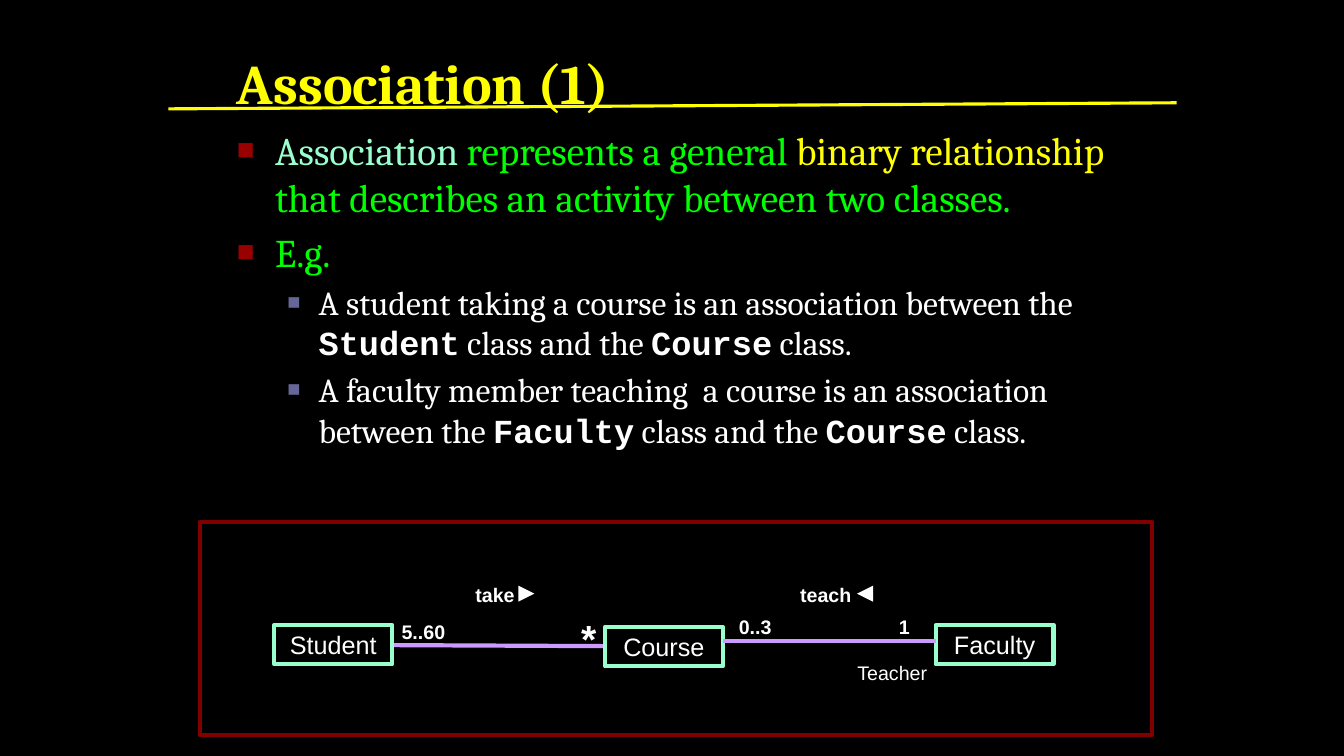
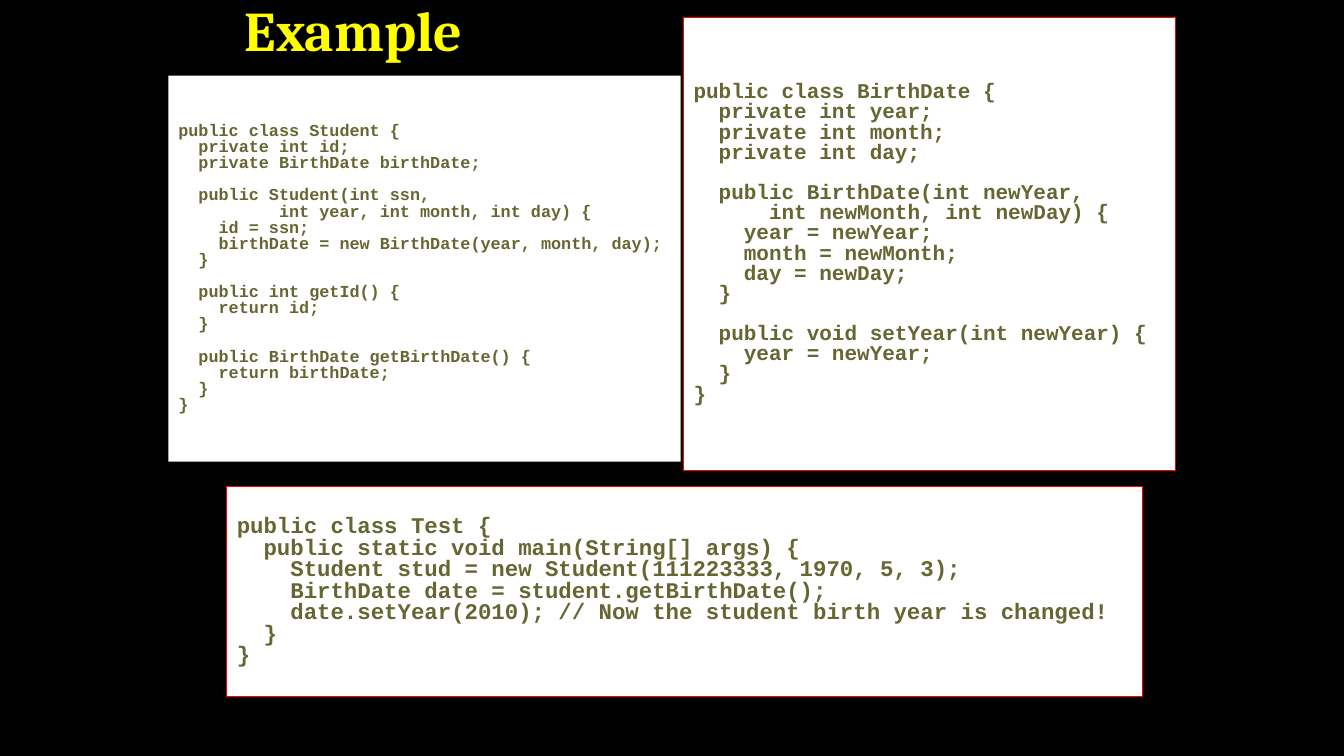
from lxml import etree
from pptx import Presentation
from pptx.dml.color import RGBColor
from pptx.enum.shapes import MSO_CONNECTOR, MSO_SHAPE
from pptx.enum.text import MSO_ANCHOR, MSO_AUTO_SIZE, PP_ALIGN
from pptx.oxml.ns import qn
from pptx.util import Inches, Pt

RECT, ARROW = MSO_SHAPE.RECTANGLE, MSO_SHAPE.ISOSCELES_TRIANGLE
LINE = MSO_CONNECTOR.STRAIGHT
LEFT, CENTER = PP_ALIGN.LEFT, PP_ALIGN.CENTER
MIDDLE, BOTTOM = MSO_ANCHOR.MIDDLE, MSO_ANCHOR.BOTTOM
SERIF, SANS, MONO = "Cambria", "Arial", "Courier New"
HEX = {
    "black": "000000", "white": "FFFFFF", "yellow": "FFFF00",
    "green": "00FF00", "mint": "99FFCC", "violet": "CC99FF",
    "maroon": "800000", "red": "FF0000", "olive": "666633",
    "brick": "990000", "slate": "666699",
}
COLOR = {name: RGBColor.from_string(code) for name, code in HEX.items()}


def style(run, size, font, color, bold=False):
    run.font.size = Pt(size)
    run.font.name = font
    run.font.bold = bold
    run.font.color.rgb = COLOR[color]


def panel(slide, kind, spot, fill, edge=None, width=3):
    shape = slide.shapes.add_shape(kind, *map(Inches, spot))
    shape.shadow.inherit = False
    shape.fill.solid()
    shape.fill.fore_color.rgb = COLOR[fill]
    if edge:
        shape.line.color.rgb = COLOR[edge]
        shape.line.width = Pt(width)
    else:
        shape.line.fill.background()
    return shape


prs = Presentation()
prs.slide_width, prs.slide_height = Inches(13.33), Inches(7.5)
back = prs.slide_master.background.fill
back.solid()
back.fore_color.rgb = COLOR["black"]

heads = [
    (1, "Association (1)", (2.25, 0.52, 8.92, 0.67)),
    (5, "Example", (2.33, 0.17, 3.75, 0.5)),
]
slides = []
for layout, text, spot in heads:
    slide = prs.slides.add_slide(prs.slide_layouts[layout])
    slides.append(slide)
    title = slide.shapes.title
    title.left, title.top, title.width, title.height = map(Inches, spot)
    frame = title.text_frame
    frame.text = text
    frame.auto_size = MSO_AUTO_SIZE.NONE
    frame.vertical_anchor = BOTTOM
    para = frame.paragraphs[0]
    para.alignment = LEFT
    para.line_spacing = 0.8
    style(para.runs[0], 40, SERIF, "yellow", True)
first, second = slides

levels = [(28, 0.38, -0.38, "brick", 75), (24, 0.81, -0.31, "slate", 65)]
points = [
    (0, [("Association", "mint"), (" represents a general ", "green"),
         ("binary relationship", "yellow"),
         (" that describes an activity between two classes.", "green")]),
    (0, [("E.g.", "green")]),
    (1, [("A student taking a course is an association between the ", "white"),
         ("Student", "code"), (" class and the ", "white"),
         ("Course", "code"), (" class.", "white")]),
    (1, [("A faculty member teaching  a course is an association between the ", "white"),
         ("Faculty", "code"), (" class and the ", "white"),
         ("Course", "code"), (" class.", "white")]),
]
body = first.placeholders[1]
body.left, body.top, body.width, body.height = map(Inches, (2.25, 1.2, 8.92, 4.93))
frame = body.text_frame
frame.auto_size = MSO_AUTO_SIZE.NONE
for row, (level, parts) in enumerate(points):
    para = frame.add_paragraph() if row else frame.paragraphs[0]
    para.level = level
    size, margin, indent, tint, scale = levels[level]
    props = para._p.get_or_add_pPr()
    props.set("marL", str(Inches(margin)))
    props.set("indent", str(Inches(indent)))
    paint = etree.SubElement(props, qn("a:buClr"))
    etree.SubElement(paint, qn("a:srgbClr"), val=HEX[tint])
    etree.SubElement(props, qn("a:buSzPct"), val=str(scale * 1000))
    etree.SubElement(props, qn("a:buFont"), typeface=SANS)
    etree.SubElement(props, qn("a:buChar"), char="■")
    for text, look in parts:
        run = para.add_run()
        run.text = text
        code = look == "code"
        style(run, size, MONO if code else SERIF, "white" if code else look, code)

panel(first, RECT, (1.98, 5.18, 9.45, 2.11), "black", "maroon")
boxes = [("Student", 2.72, 6.2), ("Course", 6, 6.22), ("Faculty", 9.28, 6.2)]
for name, left, top in boxes:
    box = panel(first, RECT, (left, top, 1.17, 0.39), "black", "mint")
    frame = box.text_frame
    frame.text = name
    frame.vertical_anchor = MIDDLE
    frame.word_wrap = False
    frame.paragraphs[0].alignment = CENTER
    style(frame.paragraphs[0].runs[0], 18, SANS, "white")

lines = [
    ((3.91, 6.4, 5.98, 6.41), "violet", 3),
    ((7.17, 6.36, 9.28, 6.36), "violet", 3),
    ((1.67, 1.08, 11.67, 1.02), "yellow", 2.25),
]
for ends, color, width in lines:
    line = first.shapes.add_connector(LINE, *map(Inches, ends))
    line.line.color.rgb = COLOR[color]
    line.line.width = Pt(width)
    etree.SubElement(line._element.spPr, qn("a:effectLst"))

labels = [
    ("5..60", (3.81, 6.1, 0.78, 0.33), 14, True),
    ("*", (5.45, 6.05, 0.78, 0.57), 28, True),
    ("1", (8.58, 6.05, 0.78, 0.33), 14, True),
    ("0..3", (7.1, 6.05, 0.78, 0.33), 14, True),
    ("take", (4.52, 5.73, 0.78, 0.33), 14, True),
    ("teach", (7.72, 5.73, 0.94, 0.33), 14, True),
    ("Teacher", (8.03, 6.51, 1.64, 0.33), 14, False),
]
for text, spot, size, bold in labels:
    frame = first.shapes.add_textbox(*map(Inches, spot)).text_frame
    frame.word_wrap = True
    frame.text = text
    frame.paragraphs[0].alignment = CENTER
    style(frame.paragraphs[0].runs[0], size, SANS, "white", bold)

for left, turn in [(5.14, 90), (8.5, 270)]:
    panel(first, ARROW, (left, 5.81, 0.16, 0.16), "white").rotation = turn

student = """public class Student {
  private int id;
  private BirthDate birthDate;

  public Student(int ssn,
          int year, int month, int day) {
    id = ssn;
    birthDate = new BirthDate(year, month, day);
  }

  public int getId() {
    return id;
  }

  public BirthDate getBirthDate() {
    return birthDate;
  }
}"""
birth = """public class BirthDate {
  private int year;
  private int month;
  private int day;

  public BirthDate(int newYear,
      int newMonth, int newDay) {
    year = newYear;
    month = newMonth;
    day = newDay;
  }

  public void setYear(int newYear) {
    year = newYear;
  }
}"""
test = """public class Test {
  public static void main(String[] args) {
    Student stud = new Student(111223333, 1970, 5, 3);
    BirthDate date = student.getBirthDate();
    date.setYear(2010); // Now the student birth year is changed!
  }
}"""
listings = [
    (student, (1.67, 0.75, 5.08, 3.83), 12, None),
    (birth, (6.78, 0.17, 4.88, 4.5), 15, "red"),
    (test, (2.25, 4.83, 9.08, 2.08), 16, "red"),
]
for code, spot, size, edge in listings:
    frame = panel(second, RECT, spot, "white", edge, 0.75).text_frame
    frame.vertical_anchor = MIDDLE
    frame.word_wrap = True
    para = frame.paragraphs[0]
    para.text = code.replace("\n", "\v")
    para.alignment = LEFT
    para.line_spacing = 0.8
    para.font.size = Pt(size)
    for run in para.runs:
        style(run, size, MONO, "olive", True)
    for gap in para._p.findall(qn("a:br")):
        etree.SubElement(gap, qn("a:rPr"), sz=str(size * 100))

prs.save("out.pptx")
